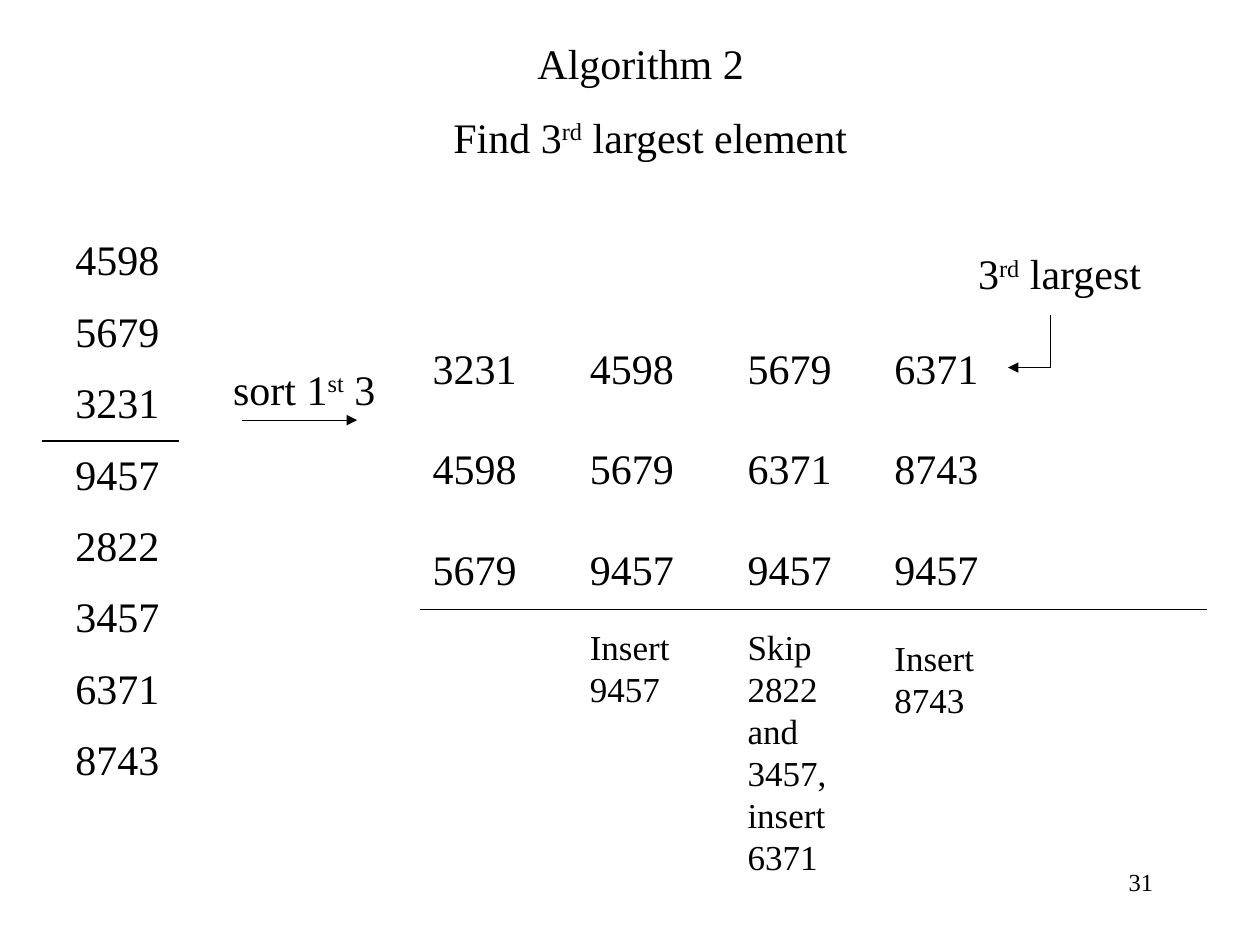
from dataclasses import dataclass

from lxml import etree
from pptx import Presentation
from pptx import util as u
from pptx.dml.color import RGBColor
from pptx.enum import shapes, text
from pptx.oxml import ns

HEX = {"ink": "000000", "page": "FFFFFF"}
FONT = "Times New Roman"
LEAD = 1.2  # line height as a multiple of the text size


@dataclass
class Note:
    """Text lines in a box (cm); parts between carets are raised."""
    lines: list[str]
    left: float
    top: float
    width: float
    height: float
    size: float = 24
    gap: float = 0
    wrap: bool = True
    align: text.PP_ALIGN = text.PP_ALIGN.LEFT


@dataclass
class Rule:
    """A straight line between two points (cm)."""
    x1: float
    y1: float
    x2: float
    y2: float
    arrow: bool = False


def ink(name: str) -> RGBColor:
    return RGBColor.from_string(HEX[name])


def write(shape, note: Note) -> None:
    """Place a shape and fill it with the lines of a note."""
    for key in ("left", "top", "width", "height"):
        setattr(shape, key, u.Cm(getattr(note, key)))
    frame = shape.text_frame
    look = {"word_wrap": note.wrap, "auto_size": text.MSO_AUTO_SIZE.NONE,
            "vertical_anchor": text.MSO_ANCHOR.TOP}
    for key, val in look.items():
        setattr(frame, key, val)
    for i, line in enumerate(note.lines):
        para = frame.add_paragraph() if i else frame.paragraphs[0]
        form = {"alignment": note.align, "space_after": u.Pt(0),
                "line_spacing": u.Pt(note.size * LEAD),
                "space_before": u.Pt(note.gap if i else 0)}
        for key, val in form.items():
            setattr(para, key, val)
        for j, part in enumerate(line.split("^")):
            run = para.add_run()
            run.text = part
            for key, val in {"name": FONT, "size": u.Pt(note.size)}.items():
                setattr(run.font, key, val)
            run.font.color.rgb = ink("ink")
            if j % 2:
                run.font._element.set("baseline", "30000")


def draw(slide, rule: Rule) -> None:
    ends = [u.Cm(v) for v in (rule.x1, rule.y1, rule.x2, rule.y2)]
    line = slide.shapes.add_connector(shapes.MSO_CONNECTOR.STRAIGHT, *ends)
    line.line.color.rgb = ink("ink")
    line.line.width = u.Pt(0.75)
    if rule.arrow:
        tail = etree.SubElement(line.line._get_or_add_ln(), ns.qn("a:tailEnd"))
        tail.set("type", "triangle")
    etree.SubElement(line._element.spPr, ns.qn("a:effectLst"))


# Headings and labels; the title box has room to stay on one line
TITLE = Note(["Algorithm 2"], 10.58, 0.62, 5.2, 1.27)
LABELS = [
    Note(["Find 3^rd^ largest element"], 8.89, 2.12, 8.51, 1.27, wrap=False),
    Note(["sort 1^st^ 3"], 4.45, 7.2, 3.43, 1.27, wrap=False),
    Note(["3^rd^ largest"], 19.47, 4.87, 3.86, 1.27, wrap=False),
    Note(["31"], 18.84, 17.36, 4.66, 1.27, size=14,
         align=text.PP_ALIGN.RIGHT),
]

# Input list
INPUT = Note("4598 5679 3231 9457 2822 3457 6371 8743".split(),
             1.27, 4.59, 2.54, 11.91, gap=12)

# Each step: left edge, sorted values, caption lines, caption top
STEPS = [
    (8.47, "3231 4598 5679", "", 0),
    (11.64, "4598 5679 9457", "Insert 9457", 12.49),
    (14.82, "5679 6371 9457", "Skip 2822 and 3457, insert 6371", 12.49),
    (17.78, "6371 8743 9457", "Insert 8743", 12.7),
]

# Dividers and arrows
RULES = [
    Rule(0.85, 8.89, 3.6, 8.89),
    Rule(8.47, 12.28, 24.34, 12.28),
    Rule(4.87, 8.47, 7.2, 8.47, arrow=True),
    Rule(21.17, 7.41, 20.32, 7.41, arrow=True),
    Rule(21.17, 7.41, 21.17, 6.35),
]


def main() -> None:
    deck = Presentation()
    deck.slide_width, deck.slide_height = u.Cm(25.4), u.Cm(19.05)
    slide = deck.slides.add_slide(deck.slide_layouts[5])
    slide.background.fill.solid()
    slide.background.fill.fore_color.rgb = ink("page")
    write(slide.shapes.title, TITLE)

    notes = LABELS + [INPUT]
    for left, vals, words, top in STEPS:
        notes.append(Note(vals.split(), left, 6.77, 2.54, 5.33, gap=24 * LEAD))
        if words:
            lines = words.split()
            tall = 0.25 + len(lines) * 0.85
            notes.append(Note(lines, left, top, 2.33, tall, size=20))
    for note in notes:
        write(slide.shapes.add_textbox(0, 0, 0, 0), note)
    for rule in RULES:
        draw(slide, rule)
    deck.save("out.pptx")


if __name__ == "__main__":
    main()
